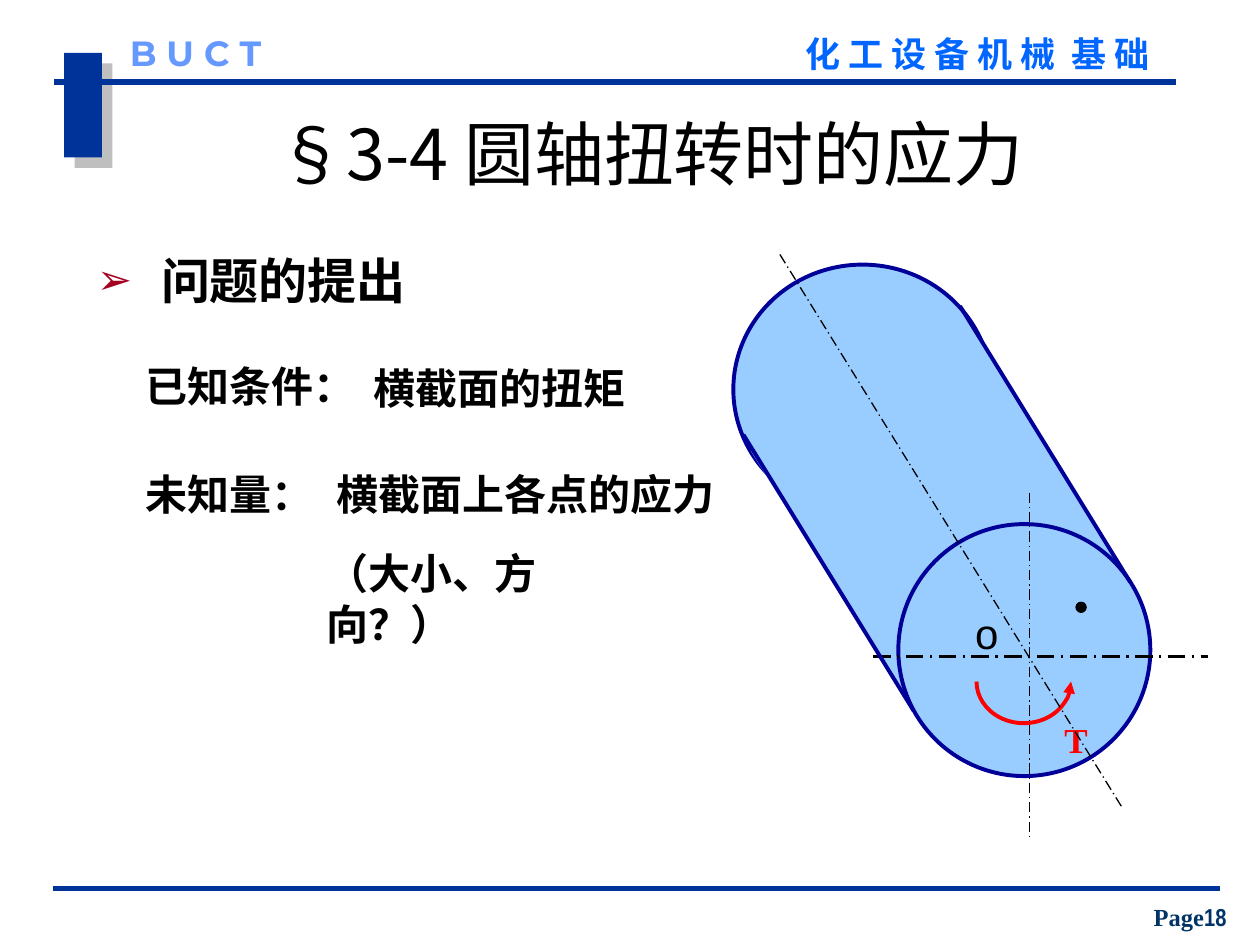
import lxml.etree
import pptx
import pptx.dml.color
import pptx.enum.dml
import pptx.enum.shapes
import pptx.enum.text
import pptx.oxml.ns
import pptx.util

COLS, ROWS = 100, 75  # square cells across the slide
CELL = pptx.util.Inches(0.1)
NAVY, EDGE, FACE, BLACK, RED = "003399", "000099", "99CCFF", "000000", "FF0000"
KIND = pptx.enum.shapes.MSO_SHAPE
ALIGN = pptx.enum.text.PP_ALIGN
ANCHOR = pptx.enum.text.MSO_ANCHOR
DASH = pptx.enum.dml.MSO_LINE.LONG_DASH_DOT


def color(code):
    return pptx.dml.color.RGBColor.from_string(code)


def cells(box, *spots):
    """Turn column and row pairs, counted from the box corner, into lengths."""
    return [int((base + n) * CELL) for spot in spots
            for base, n in zip(box, spot)]


def node(parent, tag, **attrs):
    name = pptx.oxml.ns.qn("a:" + tag)
    return lxml.etree.SubElement(parent, name, attrs)


def text(shapes, box, spot, size, parts, pt=24, font="Arial", tint=BLACK,
         bold=True, align=ALIGN.LEFT, anchor=ANCHOR.TOP, pad=(1, 0.5),
         wrap=True, mark=None):
    """Place one paragraph; parts is a string or (string, font) pairs."""
    shape = shapes.add_textbox(*cells(box, spot), *cells((0, 0), size))
    frame = shape.text_frame
    frame.word_wrap, frame.vertical_anchor = wrap, anchor
    frame.margin_left = frame.margin_right = int(pad[0] * CELL)
    frame.margin_top = frame.margin_bottom = int(pad[1] * CELL)
    para = frame.paragraphs[0]
    para.alignment = align
    if mark:
        props = para._p.get_or_add_pPr()
        indent = int(5.1 * CELL)
        props.set("marL", str(indent))
        props.set("indent", str(-indent))
        node(node(props, "buClr"), "srgbClr", val="A50021")
        node(props, "buSzPct", val="86000")
        node(props, "buFont", typeface="Arial")
        node(props, "buChar", char=mark)
    for words, face in [(parts, font)] if isinstance(parts, str) else parts:
        run = para.add_run()
        run.text = words
        run.font.name, run.font.size = face, pptx.util.Pt(pt)
        run.font.bold, run.font.color.rgb = bold, color(tint)
        node(run._r.get_or_add_rPr(), "ea", typeface="Noto Sans CJK SC")


def line(shapes, box, start, end, tint=BLACK, width=0.75, dash=None):
    link = shapes.add_connector(pptx.enum.shapes.MSO_CONNECTOR.STRAIGHT,
                                *cells(box, start, end))
    link.line.color.rgb, link.line.width = color(tint), pptx.util.Pt(width)
    if dash:
        link.line.dash_style = dash
    node(link._element.spPr, "effectLst")


def shape(shapes, box, spot, size, kind, fill=None, edge=None, width=2.25):
    item = shapes.add_shape(kind, *cells(box, spot), *cells((0, 0), size))
    item.shadow.inherit = False
    if fill:
        item.fill.solid()
        item.fill.fore_color.rgb = color(fill)
    else:
        item.fill.background()
    if edge:
        item.line.color.rgb = color(edge)
        item.line.width = pptx.util.Pt(width)
    else:
        item.line.fill.background()
    return item


def header(shapes, box):
    block = shape(shapes, box, (0.8, 1.7), (3, 8.3), KIND.RECTANGLE, NAVY)
    effects = block._element.spPr.find(pptx.oxml.ns.qn("a:effectLst"))
    shade = node(effects, "outerShdw", dist=str(pptx.util.Pt(8.5)),
                 dir="2700000", algn="ctr", rotWithShape="0")
    node(node(shade, "srgbClr", val="808080"), "alpha", val="50000")
    line(shapes, box, (0, 4), (89, 4), NAVY, 3)
    text(shapes, box, (59.6, 0.1), (31, 4), "化 工 设 备 机 械  基 础", pt=20,
         font="Times New Roman", tint="0066FF", pad=(0, 0))
    text(shapes, box, (6, 0), (14.2, 3.3), "B U C T", pt=20,
         font="Montserrat", tint="6699FF", pad=(0, 0))


def title(shapes, box):
    text(shapes, box, (0, 0), (83.2, 5.8), "§3-4 圆轴扭转时的应力", pt=40,
         font="Noto Sans CJK SC", bold=False, align=ALIGN.CENTER,
         anchor=ANCHOR.MIDDLE, pad=(0, 0))


def body(shapes, box):
    text(shapes, box, (0, 0), (33.9, 5.7), "问题的提出", pt=28,
         font="Times New Roman", mark="➢")
    for spot, wide, words in [
            ((3.9, 8.7), 18.9, "已知条件："),
            ((22, 8.9), 23.6, "横截面的扭矩"),
            ((3.9, 17.3), 16.5, "未知量："),
            ((19, 17.3), 32, "横截面上各点的应力"),
            ((18.2, 23.6), 28.6, "（大小、方向？）")]:
        text(shapes, box, spot, (wide, 5), words, wrap=False)


def shaft(shapes, box):
    """Draw the cylinder in torsion with its axes, torque and point."""
    group = shapes.add_group_shape().shapes
    shape(group, box, (0, 0.8), (20.5, 19.8), KIND.OVAL, FACE, EDGE)
    shape(group, box, (4.1, 10.7), (24.7, 20.1), KIND.RECTANGLE,
          FACE).rotation = 58
    shape(group, box, (13.1, 21.4), (20, 20), KIND.OVAL, FACE, EDGE)
    line(group, box, (11.1, 31.9), (37.7, 31.9), width=1.25, dash=DASH)
    line(group, box, (23.5, 18.9), (23.5, 46.4), dash=DASH)
    text(group, box, (25.3, 36.3), (3.3, 4.4), "T", pt=20,
         font="Times New Roman", tint=RED)
    turn = shape(group, box, (19.3, 30.6), (7.5, 6.6), KIND.ARC, edge=RED)
    turn.adjustments[0], turn.adjustments[1] = 0, 108  # lower half
    node(turn.line._get_or_add_ln(), "headEnd", type="triangle")
    line(group, box, (3.7, 0), (30.8, 43.8), dash=DASH)
    text(group, box, (18.2, 27.5), (4.7, 5), "o", bold=False)
    for x, y in [(18, 4.1), (0.8, 14.3)]:
        line(group, box, (x, y), (x + 13.5, y + 21.9), EDGE, 2.25)
    shape(group, box, (27.2, 27.6), (0.8, 0.8), KIND.OVAL, BLACK, BLACK, 0.75)


def footer(shapes, box):
    line(shapes, box, (0, 0), (92.6, 0), NAVY, 3)
    text(shapes, box, (85.5, 0.6), (9.5, 3.3),
         [("Page", "Times New Roman"), ("18", "Arial Narrow")], pt=14,
         tint="003366", align=ALIGN.CENTER, anchor=ANCHOR.BOTTOM)


def main():
    deck = pptx.Presentation()
    deck.slide_width, deck.slide_height = COLS * CELL, ROWS * CELL
    shapes = deck.slides.add_slide(deck.slide_layouts[6]).shapes
    header(shapes, (4.3, 2.5))
    title(shapes, (10, 9.2))
    body(shapes, (6.7, 19.4))
    shaft(shapes, (58.2, 20.2))
    footer(shapes, (4.2, 70.5))
    deck.save("out.pptx")


if __name__ == "__main__":
    main()
